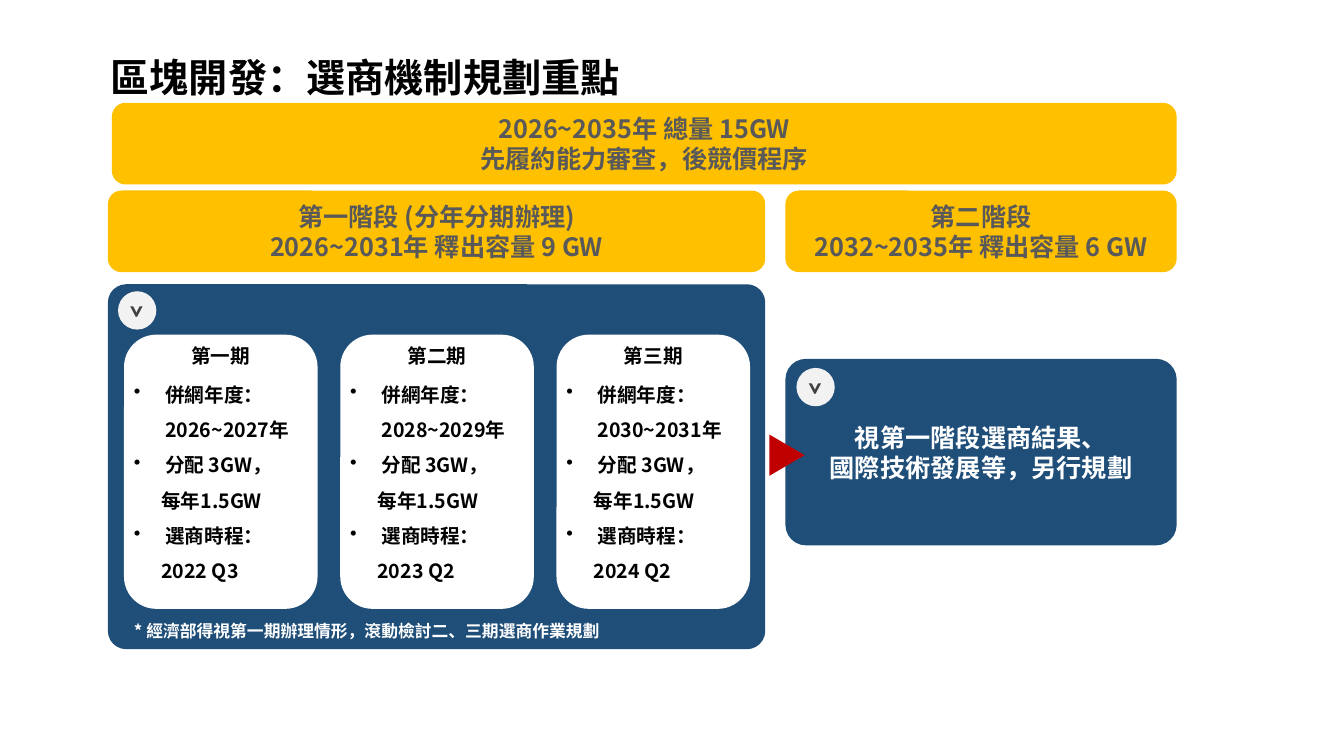
import pptx
import pptx.util
import pptx.dml.color
import pptx.enum.shapes
import pptx.enum.text
import pptx.oxml.ns
import lxml.etree

SHAPE = pptx.enum.shapes.MSO_SHAPE
ALIGN = pptx.enum.text.PP_ALIGN
ANCHOR = pptx.enum.text.MSO_ANCHOR
WIDTH = pptx.util.Inches(13.33)
HEIGHT = pptx.util.Inches(7.5)
CJK = "Noto Sans CJK SC"
COLORS = {
    "gold": "FFC000",
    "navy": "1F4E79",
    "white": "FFFFFF",
    "black": "000000",
    "gray": "595959",
    "dark": "404040",
    "badge": "F2F2F2",
    "red": "C00000",
}
PHASE_1 = (8.03, 48.91)
PHASE_2 = (58.44, 29.11)
CARD_LEFT, CARD_STEP, CARD_WIDTH = 9.23, 16.09, 14.4
PERIODS = [
    ("第一期", "2026~2027年", "2022 Q3"),
    ("第二期", "2028~2029年", "2023 Q2"),
    ("第三期", "2030~2031年", "2024 Q2"),
]


def place(x, y, w, h):
    return [int(size * share / 100) for size, share in
            ((WIDTH, x), (HEIGHT, y), (WIDTH, w), (HEIGHT, h))]


def rgb(name):
    return pptx.dml.color.RGBColor.from_string(COLORS[name])


def style(p, size, color, font=CJK, align=ALIGN.LEFT):
    p.alignment = align
    for r in p.runs:
        r.font.size = pptx.util.Pt(size)
        r.font.bold = True
        r.font.name = font
        r.font.color.rgb = rgb(color)
        ea = lxml.etree.SubElement(r.font._element, pptx.oxml.ns.qn("a:ea"))
        ea.set("typeface", font)


def add_block(s, box, fill, kind=SHAPE.ROUNDED_RECTANGLE, lines=(),
              color="white", corner=None):
    sp = s.shapes.add_shape(kind, *place(*box))
    sp.shadow.inherit = False
    sp.fill.solid()
    sp.fill.fore_color.rgb = rgb(fill)
    sp.line.fill.background()
    if corner is not None:
        sp.adjustments[0] = corner
    if lines:
        tf = sp.text_frame
        tf.word_wrap = True
        tf.vertical_anchor = ANCHOR.MIDDLE
        tf.text = "\n".join(lines)
        for p in tf.paragraphs:
            style(p, 18, color, align=ALIGN.CENTER)
    return sp


def add_text(s, box, text, size, color, wrap=False, **kwargs):
    sp = s.shapes.add_textbox(*place(*box))
    tf = sp.text_frame
    tf.word_wrap = wrap
    tf.text = text
    for p in tf.paragraphs:
        style(p, size, color, **kwargs)
    return sp


def indent(p, left, bullet):
    pPr = p._p.get_or_add_pPr()
    pPr.set("marL", str(pptx.util.Inches(left)))
    if bullet:
        pPr.set("indent", str(-pptx.util.Inches(left)))
        bu = lxml.etree.SubElement(pPr, pptx.oxml.ns.qn("a:buChar"))
        bu.set("char", "•")
    p.line_spacing = 1.5


def add_period(s, column, name, years, schedule):
    x = CARD_LEFT + column * CARD_STEP
    add_block(s, (x, 44.27, CARD_WIDTH, 36.27), "white")
    add_text(s, (x, 44.8, CARD_WIDTH, 4.53), name, 14, "black",
             wrap=True, align=ALIGN.CENTER)
    items = [
        (f"併網年度：{years}", True),
        ("分配 3GW，", True),
        ("每年1.5GW", False),
        ("選商時程：", True),
        (schedule, False),
    ]
    sp = add_text(s, (x, 48.4, 14.85, 29.07),
                  "\n".join(text for text, _ in items), 14, "black", wrap=True)
    for p, (_, bullet) in zip(sp.text_frame.paragraphs, items):
        indent(p, 0.31 if bullet else 0.27, bullet)


def add_badge(s, x, y):
    add_block(s, (x, y, 2.85, 5.07), "badge", SHAPE.OVAL)
    sp = add_text(s, (x + 0.12, y, 2.78, 5.87), ">", 20, "dark",
                  wrap=True, font="Calibri")
    sp.rotation = 90


def add_phase(s, span, lines):
    x, w = span
    add_block(s, (x, 25.2, w, 10.8), "gold", lines=lines, color="gray")


def main():
    prs = pptx.Presentation()
    prs.slide_width, prs.slide_height = WIDTH, HEIGHT
    s = prs.slides.add_slide(prs.slide_layouts[6])

    add_text(s, (7.5, 6.4, 39.84, 7.6), "區塊開發：選商機制規劃重點", 28, "black")
    add_phase(s, PHASE_1, ["第一階段 (分年分期辦理)", "2026~2031年 釋出容量 9 GW"])
    add_phase(s, PHASE_2, ["第二階段", "2032~2035年 釋出容量 6 GW"])

    add_block(s, (PHASE_2[0], 47.47, PHASE_2[1], 24.67), "navy", corner=0.11,
              lines=["視第一階段選商結果、", "國際技術發展等，另行規劃"])
    add_block(s, (PHASE_1[0], 37.6, PHASE_1[1], 48.27), "navy", corner=0.05)
    for column, period in enumerate(PERIODS):
        add_period(s, column, *period)
    add_text(s, (CARD_LEFT, 81.47, 36.53, 4),
             "* 經濟部得視第一期辦理情形，滾動檢討二、三期選商作業規劃", 12, "white")

    arrow = add_block(s, (57.01, 57.87, 3.08, 4.67), "red",
                      SHAPE.ISOSCELES_TRIANGLE)
    arrow.rotation = 90
    add_block(s, (8.33, 13.6, 79.22, 10.8), "gold", color="gray",
              lines=["2026~2035年 總量 15GW", "先履約能力審查，後競價程序"])
    add_badge(s, 8.78, 38.53)
    add_badge(s, 59.26, 48.67)

    prs.save("out.pptx")


if __name__ == "__main__":
    main()
